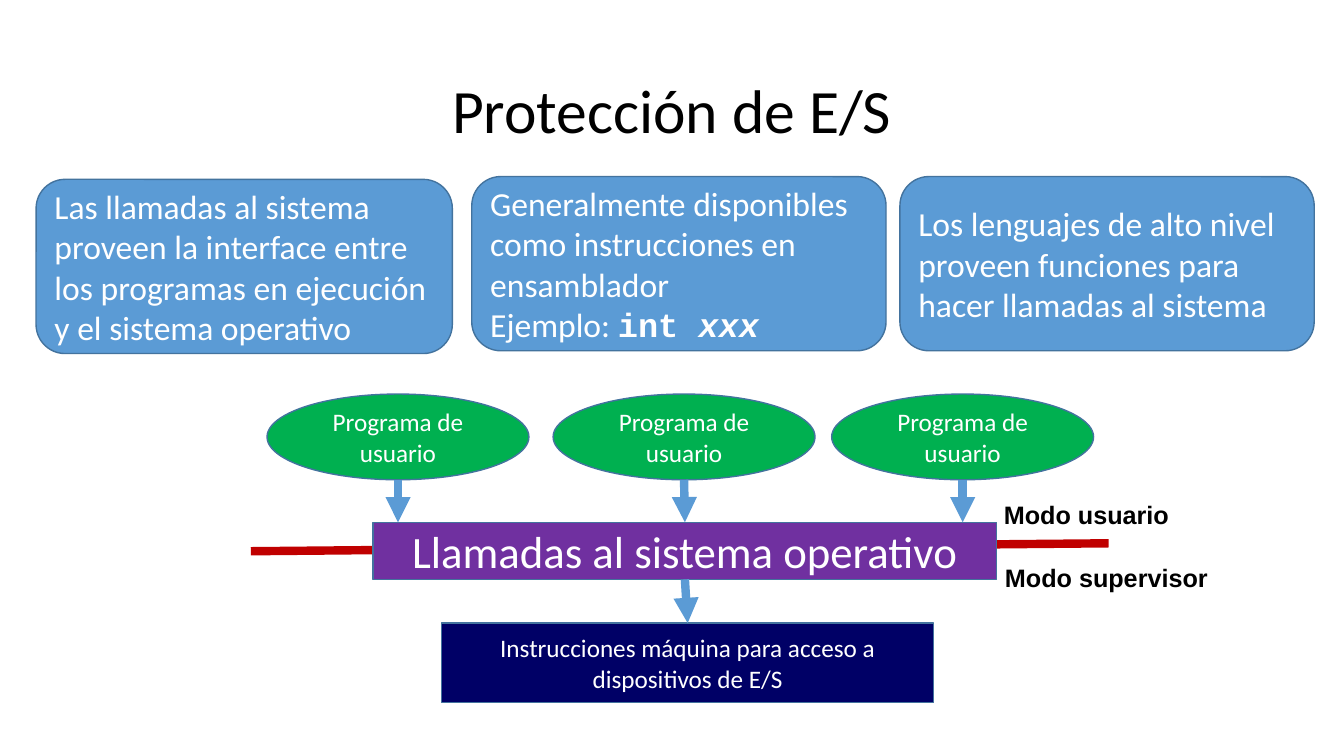
"""Build the slide on I/O protection and operating system calls."""
from dataclasses import dataclass

import pptx
import pptx.dml.color
import pptx.enum.shapes
import pptx.enum.text
import pptx.oxml
import pptx.oxml.ns
import pptx.util

Cm = pptx.util.Cm
Shapes = pptx.enum.shapes.MSO_SHAPE
Align = pptx.enum.text.PP_ALIGN
Anchor = pptx.enum.text.MSO_ANCHOR


@dataclass(frozen=True)
class Theme:
    black: str = "000000"
    white: str = "FFFFFF"
    blue: str = "5B9BD5"
    outline: str = "43739E"
    green: str = "00B050"
    purple: str = "7030A0"
    navy: str = "000066"
    red: str = "C00000"
    body_font: str = "Calibri"
    label_font: str = "Arial"
    code_font: str = "Courier New"
    title_size: int = 44
    calls_size: int = 32
    card_size: int = 24
    small_size: int = 18
    outline_width: int = 1
    line_width: int = 6


theme = Theme()
rgb = pptx.dml.color.RGBColor.from_string


def add_box(kind, left, top, width, height, fill, text, size, align=Align.CENTER):
    shape = slide.shapes.add_shape(kind, Cm(left), Cm(top), Cm(width), Cm(height))
    shape.shadow.inherit = False
    shape.fill.solid()
    shape.fill.fore_color.rgb = rgb(fill)
    shape.line.color.rgb = rgb(theme.outline)
    shape.line.width = pptx.util.Pt(theme.outline_width)
    shape.text_frame.text = text
    shape.text_frame.vertical_anchor = Anchor.MIDDLE
    for paragraph in shape.text_frame.paragraphs:
        paragraph.alignment = align
        paragraph.font.name = theme.body_font
        paragraph.font.size = pptx.util.Pt(size)
        paragraph.font.color.rgb = rgb(theme.white)
    return shape


def add_line(start_x, start_y, end_x, end_y, color, arrow=True):
    connector = slide.shapes.add_connector(
        pptx.enum.shapes.MSO_CONNECTOR.STRAIGHT,
        Cm(start_x), Cm(start_y), Cm(end_x), Cm(end_y))
    connector.line.color.rgb = rgb(color)
    connector.line.width = pptx.util.Pt(theme.line_width)
    if arrow:
        head = pptx.oxml.parse_xml(
            f'<a:tailEnd {pptx.oxml.ns.nsdecls("a")} type="triangle"/>')
        connector.line._get_or_add_ln().append(head)
    connector._element.spPr.append(
        pptx.oxml.parse_xml(f'<a:effectLst {pptx.oxml.ns.nsdecls("a")}/>'))
    return connector


presentation = pptx.Presentation()
presentation.slide_width = Cm(33.87)
presentation.slide_height = Cm(19.05)
slide = presentation.slides.add_slide(presentation.slide_layouts[5])

title = slide.shapes.title
title.left, title.top, title.width, title.height = Cm(2.33), Cm(1.02), Cm(29.21), Cm(3.68)
title.text_frame.text = "Protección de E/S"
title.text_frame.vertical_anchor = Anchor.MIDDLE
heading = title.text_frame.paragraphs[0]
heading.alignment = Align.CENTER
heading.line_spacing = 0.9
heading.font.name = theme.body_font
heading.font.size = pptx.util.Pt(theme.title_size)
heading.font.color.rgb = rgb(theme.black)

cards = [
    (0.91, 4.52, 10.49, "Las llamadas al sistema proveen la interface entre "
                        "los programas en ejecución y el sistema operativo"),
    (11.89, 4.45, 10.44, "Generalmente disponibles como instrucciones en "
                         "ensamblador\nEjemplo: "),
    (22.68, 4.45, 10.44, "Los lenguajes de alto nivel proveen funciones para "
                         "hacer llamadas al sistema"),
]
card_shapes = [
    add_box(Shapes.ROUNDED_RECTANGLE, left, top, width, 4.39, theme.blue, text,
            theme.card_size, Align.LEFT)
    for left, top, width, text in cards
]
example = card_shapes[1].text_frame.paragraphs[1]
for code, italic in [("int ", False), ("xxx", True)]:
    run = example.add_run()
    run.text = code
    run.font.name = theme.code_font
    run.font.bold = True
    run.font.italic = italic

add_line(6.32, 13.89, 27.94, 13.69, theme.red, arrow=False)
calls = add_box(Shapes.RECTANGLE, 9.4, 13.16, 15.72, 1.44, theme.purple,
                "Llamadas al sistema operativo", theme.calls_size)
instructions = add_box(Shapes.RECTANGLE, 11.13, 15.7, 12.4, 2.01, theme.navy,
                       "Instrucciones máquina para acceso a dispositivos de E/S",
                       theme.small_size)

program_top, program_width, program_height = 9.93, 6.6, 2.16
program_bottom = program_top + program_height
program_arrows = []
for left in (6.73, 13.94, 20.96):
    add_box(Shapes.OVAL, left, program_top, program_width, program_height,
            theme.green, "Programa de usuario", theme.small_size)
    center = left + program_width / 2
    program_arrows.append(
        add_line(center, program_bottom, center, 13.16, theme.blue))
program_arrows[1].end_connect(calls, 0)

access_arrow = add_line(17.26, 14.6, 17.33, 15.7, theme.blue)
access_arrow.begin_connect(calls, 2)
access_arrow.end_connect(instructions, 0)

for left, top, width, text in [(25.02, 12.47, 4.72, "Modo usuario"),
                               (25.04, 14.05, 5.69, "Modo supervisor")]:
    label = slide.shapes.add_textbox(Cm(left), Cm(top), Cm(width), Cm(1.02))
    label.text_frame.text = text
    label.text_frame.word_wrap = False
    label.text_frame.auto_size = pptx.enum.text.MSO_AUTO_SIZE.SHAPE_TO_FIT_TEXT
    paragraph = label.text_frame.paragraphs[0]
    paragraph.alignment = Align.CENTER
    paragraph.font.name = theme.label_font
    paragraph.font.size = pptx.util.Pt(theme.small_size)
    paragraph.font.bold = True
    paragraph.font.color.rgb = rgb(theme.black)

presentation.save("out.pptx")
